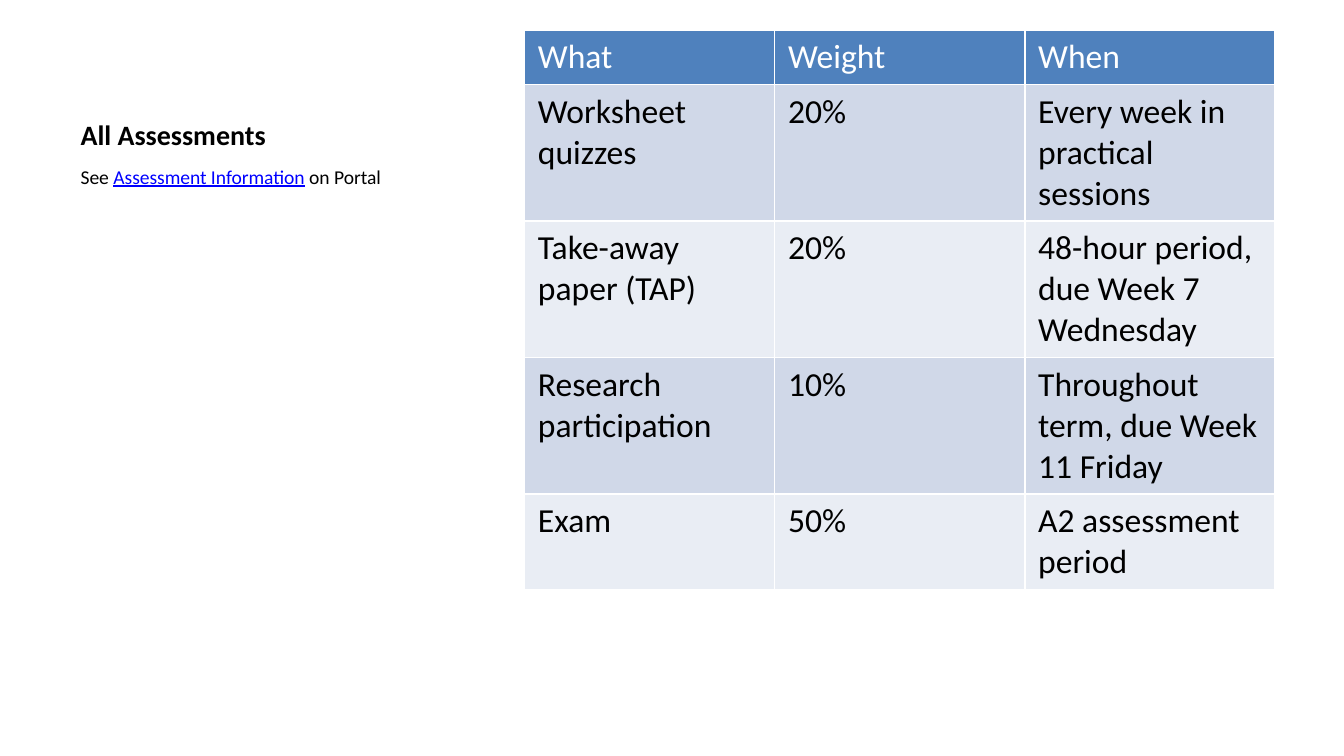
from pptx import Presentation
from pptx.dml.color import RGBColor
from pptx.enum.text import MSO_ANCHOR
from pptx.util import Pt

FONT = "Calibri"
BLACK, WHITE, LINK = "000000", "FFFFFF", "0000FF"
HEADER, BANDS = "4F81BD", ("D0D8E8", "E9EDF4")

ASSESSMENTS = [
    ("What", "Weight", "When"),
    ("Worksheet quizzes", "20%", "Every week in practical sessions"),
    ("Take-away paper (TAP)", "20%", "48-hour period, due Week 7 Wednesday"),
    ("Research participation", "10%", "Throughout term, due Week 11 Friday"),
    ("Exam", "50%", "A2 assessment period"),
]
ROW_HEIGHTS = (29, 73, 73, 73, 51)


def rgb(color):
    return RGBColor.from_string(color)


def format_run(r, size, color, bold=False, underline=False):
    r.font.name = FONT
    r.font.size = Pt(size)
    r.font.bold = bold
    r.font.underline = underline
    r.font.color.rgb = rgb(color)


def place(sp, left, top, width, height):
    sp.left, sp.top, sp.width, sp.height = map(Pt, (left, top, width, height))


def fill_title(sp, text):
    place(sp, 36, 16, 237, 68.5)
    tf = sp.text_frame
    tf.text = text
    tf.vertical_anchor = MSO_ANCHOR.BOTTOM
    format_run(tf.paragraphs[0].runs[0], 15, BLACK, bold=True)


def fill_body(sp, parts):
    place(sp, 36, 84.5, 237, 277)
    p = sp.text_frame.paragraphs[0]
    for text, color in parts:
        r = p.add_run()
        r.text = text
        format_run(r, 10.5, color, underline=color == LINK)


def add_assessment_table(s, rows):
    frame = s.shapes.add_table(len(rows), len(rows[0]), Pt(281), Pt(16),
                               Pt(402), Pt(sum(ROW_HEIGHTS)))
    table = frame.table
    for i, texts in enumerate(rows):
        table.rows[i].height = Pt(ROW_HEIGHTS[i])
        fill = BANDS[(i - 1) % 2] if i else HEADER
        for j, text in enumerate(texts):
            cell = table.cell(i, j)
            cell.text = text
            cell.fill.solid()
            cell.fill.fore_color.rgb = rgb(fill)
            format_run(cell.text_frame.paragraphs[0].runs[0], 18,
                       BLACK if i else WHITE)


def main():
    prs = Presentation()
    prs.slide_width, prs.slide_height = Pt(720), Pt(405)

    # Content with Caption layout: the table takes the content area
    s = prs.slides.add_slide(prs.slide_layouts[7])
    title, content, body = s.placeholders
    content.element.getparent().remove(content.element)

    # Caption on the left
    fill_title(title, "All Assessments")
    fill_body(body, [("See ", BLACK), ("Assessment Information", LINK),
                     (" on Portal", BLACK)])

    # Assessment table on the right
    add_assessment_table(s, ASSESSMENTS)

    prs.save("out.pptx")


if __name__ == "__main__":
    main()
